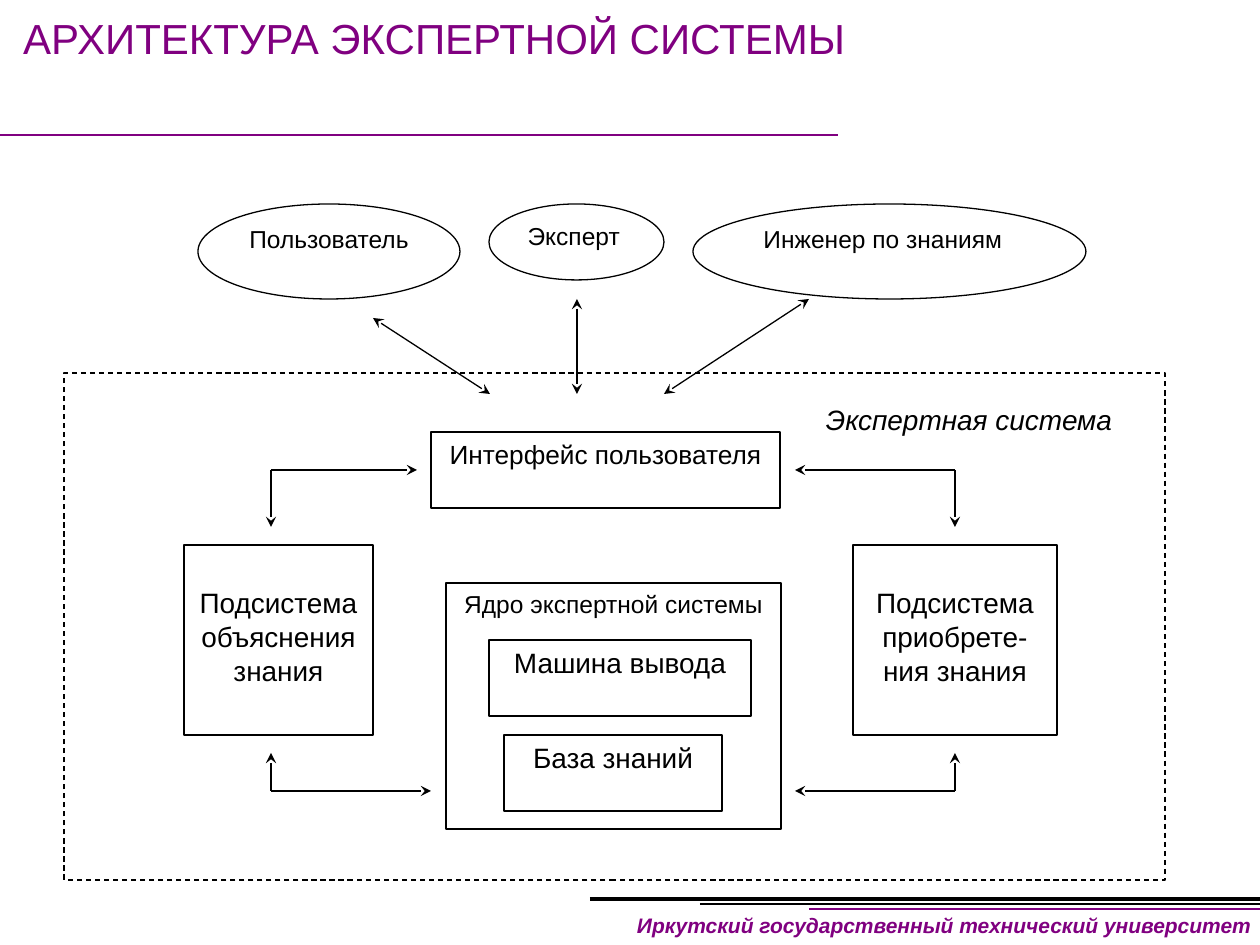
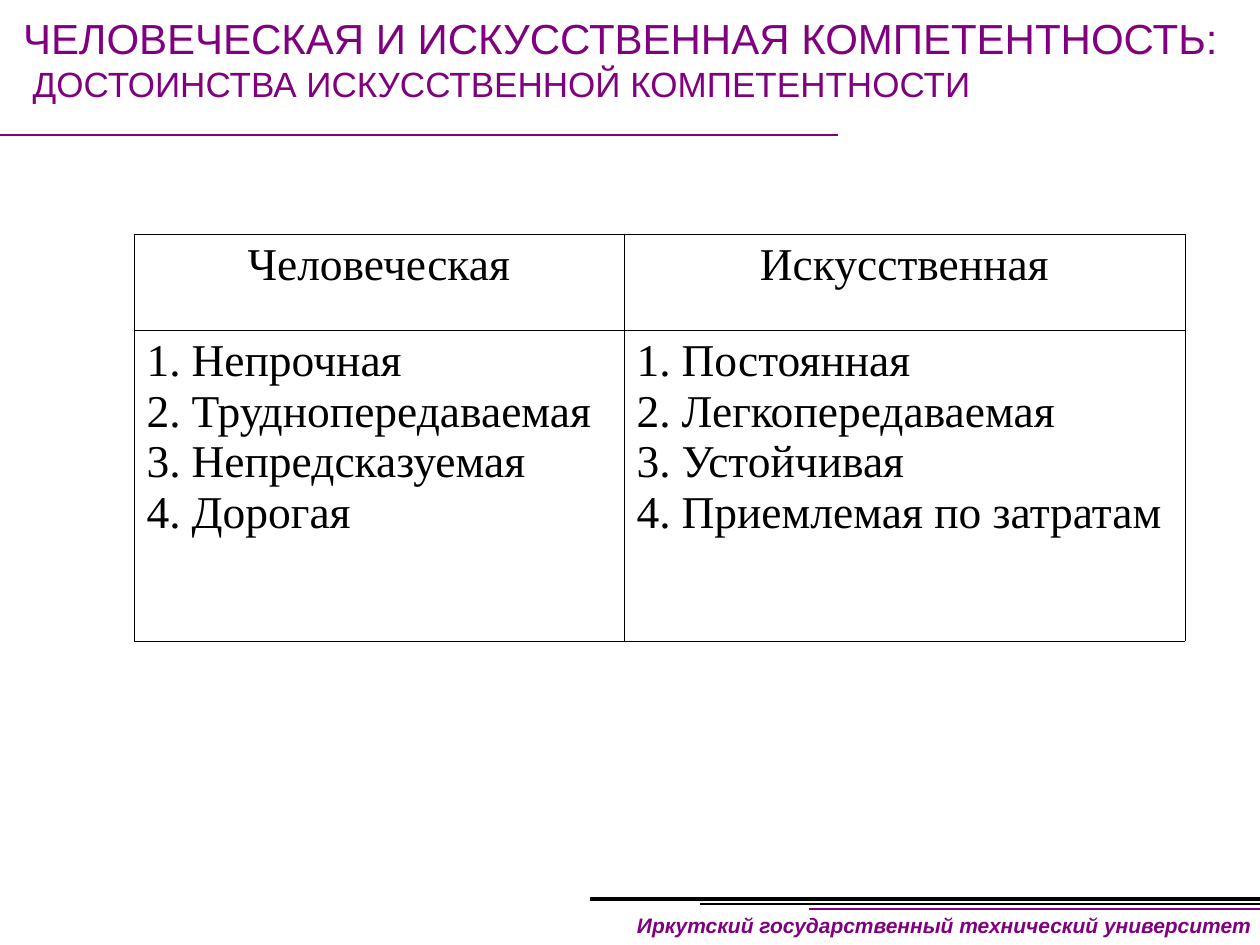
from lxml import etree
from pptx import Presentation
from pptx.dml.color import RGBColor
from pptx.enum.dml import MSO_LINE
from pptx.enum.shapes import MSO_CONNECTOR, MSO_SHAPE
from pptx.enum.text import MSO_ANCHOR, MSO_AUTO_SIZE, PP_ALIGN
from pptx.oxml.ns import qn
from pptx.util import Pt

PX = 914400 / 126
WIDE, HIGH = 1260, 945
INKS = {"plum": "800080", "black": "000000", "white": "FFFFFF"}
SANS, SERIF = "Arial", "Times New Roman"
LEFT, MID, RIGHT, JUST = (PP_ALIGN.LEFT, PP_ALIGN.CENTER,
                          PP_ALIGN.RIGHT, PP_ALIGN.JUSTIFY)
TOP, NOFIT = MSO_ANCHOR.TOP, MSO_AUTO_SIZE.NONE
OVAL, RECT = MSO_SHAPE.OVAL, MSO_SHAPE.RECTANGLE
DASH, LINE = MSO_LINE.DASH, MSO_CONNECTOR.STRAIGHT


def emu(*nums):
    return [round(n * PX) for n in nums]


def ink(name):
    return RGBColor.from_string(INKS[name])


class Deck:
    def __init__(self):
        self.prs = Presentation()
        self.prs.slide_width, self.prs.slide_height = emu(WIDE, HIGH)
        self.slide = None

    def page(self, *lines):
        """Start a slide; each title line is a (text, size) pair."""
        self.slide = self.prs.slides.add_slide(self.prs.slide_layouts[5])
        self.title(lines)
        self.line(0, 135, 838, 135, "plum", 1)
        self.line(590, 899, WIDE, 899, "black", 2.25)
        self.line(700, 904, WIDE, 904, "black", 1.5)
        self.line(809, 909, WIDE, 909, "plum", 1)
        self.label("Иркутский государственный технический университет",
                   (610, 907, 650, 38), 12, "plum", RIGHT, bold=True, pad=8)

    def run(self, par, text, size, color="black", face=SANS,
            bold=False, slant=False):
        run = par.add_run()
        run.text = text
        font = run.font
        font.name, font.size = face, Pt(size)
        font.bold, font.italic = bold, slant
        font.color.rgb = ink(color)

    def frame(self, shape, align, top=6, left=13, right=13):
        """Set up a text frame and return its first paragraph."""
        box = shape.text_frame
        box.auto_size, box.word_wrap = NOFIT, True
        box.vertical_anchor = TOP
        box.margin_top, box.margin_bottom = emu(top, 6)
        box.margin_left, box.margin_right = emu(left, right)
        par = box.paragraphs[0]
        par.alignment = align
        return par

    def title(self, lines):
        head = self.slide.shapes.title
        head.left, head.top, head.width, head.height = emu(10, 6, 1250, 77)
        par = self.frame(head, LEFT)
        for num, (text, size) in enumerate(lines):
            if num:
                par.add_line_break()
            self.run(par, text, size, "plum")

    def label(self, text, spot, size, color="black", align=LEFT,
              bold=False, pad=13):
        box = self.slide.shapes.add_textbox(*emu(*spot))
        par = self.frame(box, align, left=pad, right=pad)
        self.run(par, text, size, color, bold=bold, slant=True)

    def shape(self, kind, spot, text="", size=14, align=MID, top=6, right=13):
        item = self.slide.shapes.add_shape(kind, *emu(*spot))
        item.shadow.inherit = False
        item.line.color.rgb = ink("black")
        item.line.width = Pt(0.75)
        if text:
            item.fill.solid()
            item.fill.fore_color.rgb = ink("white")
            par = self.frame(item, align, top, right=right)
            self.run(par, text, size)
        else:
            item.fill.background()
        return item

    def line(self, x1, y1, x2, y2, color="black", width=0.75, ends=()):
        item = self.slide.shapes.add_connector(LINE, *emu(x1, y1, x2, y2))
        item.line.color.rgb = ink(color)
        item.line.width = Pt(width)
        for end in ends:
            tip = etree.SubElement(item.line._get_or_add_ln(), qn(f"a:{end}"))
            tip.set("type", "stealth")
        etree.SubElement(item._element.spPr, qn("a:effectLst"))

    def bend(self, x, y, side, stop):
        """Draw two arrows that leave one corner, sideways and upright."""
        for tip in ((side, y), (x, stop)):
            self.line(x, y, *tip, ends=["tailEnd"])

    def cell(self, cell, texts, count):
        props = cell._tc.get_or_add_tcPr()
        for side in "LRTB":
            edge = etree.SubElement(props, qn(f"a:ln{side}"),
                                    w=str(Pt(0.45)))
            fill = etree.SubElement(edge, qn("a:solidFill"))
            etree.SubElement(fill, qn("a:srgbClr"), val=INKS["black"])
        cell.fill.background()
        box = cell.text_frame
        for num, text in enumerate(texts):
            par = box.add_paragraph() if num else box.paragraphs[0]
            par.alignment = JUST if count else MID
            if count:
                form = par._p.get_or_add_pPr()
                gap = emu(45)[0]
                form.set("marL", str(gap))
                form.set("indent", str(-gap))
                etree.SubElement(form, qn("a:buAutoNum"),
                                 type="arabicPeriod")
            self.run(par, text, 26, face=SERIF)

    def table(self, left, top, cols, rows, data):
        spot = emu(left, top, sum(cols), sum(rows))
        grid = self.slide.shapes.add_table(len(rows), len(cols), *spot).table
        grid.first_row = grid.horz_banding = False
        for col, width in zip(grid.columns, emu(*cols)):
            col.width = width
        for row, height in zip(grid.rows, emu(*rows)):
            row.height = height
        for r, line in enumerate(data):
            for c, texts in enumerate(line):
                self.cell(grid.cell(r, c), texts, count=r > 0)


def scheme(deck):
    deck.page(("АРХИТЕКТУРА ЭКСПЕРТНОЙ СИСТЕМЫ", 24))
    for text, left, width, height in (
            ("Пользователь", 198, 262, 95),
            ("Эксперт", 489, 175, 76),
            ("Инженер по знаниям", 693, 393, 95)):
        deck.shape(OVAL, (left, 204, width, height), text, align=LEFT,
                   right=0)
    for text, spot, size, top in (
            ("Интерфейс пользователя", (431, 432, 349, 76), 15, 6),
            ("Подсистема объяснения знания", (184, 545, 189, 190), 16, 41),
            ("Подсистема приобрете-ния знания", (853, 545, 204, 190), 16, 41),
            ("Ядро экспертной системы", (446, 583, 335, 246), 14, 6),
            ("Машина вывода", (489, 640, 262, 76), 16, 6),
            ("База знаний", (504, 735, 218, 76), 16, 6)):
        deck.shape(RECT, spot, text, size, top=top)
    for ends in ((577, 299, 577, 394), (809, 299, 664, 394),
                 (490, 394, 373, 318)):
        deck.line(*ends, ends=["headEnd", "tailEnd"])
    for x, high, low in ((271, 417, 431), (955, 795, 795)):
        deck.bend(x, 470, high, 527)
        deck.bend(x, 791, low, 753)
    system = deck.shape(RECT, (64, 373, 1101, 507))
    system.line.dash_style = DASH
    deck.label("Экспертная система", (813, 397, 330, 44), 16)


def merits(deck):
    deck.page(("ЧЕЛОВЕЧЕСКАЯ И ИСКУССТВЕННАЯ КОМПЕТЕНТНОСТЬ:", 24),
              (" ДОСТОИНСТВА ИСКУССТВЕННОЙ КОМПЕТЕНТНОСТИ", 20))
    human = ["Непрочная", "Труднопередаваемая", "Непредсказуемая", "Дорогая"]
    machine = ["Постоянная", "Легкопередаваемая", "Устойчивая",
               "Приемлемая по затратам"]
    deck.table(134, 234, (490, 561), (96, 311),
               [[["Человеческая"], ["Искусственная"]], [human, machine]])


def main():
    deck = Deck()
    scheme(deck)
    merits(deck)
    deck.prs.save("out.pptx")


if __name__ == "__main__":
    main()
